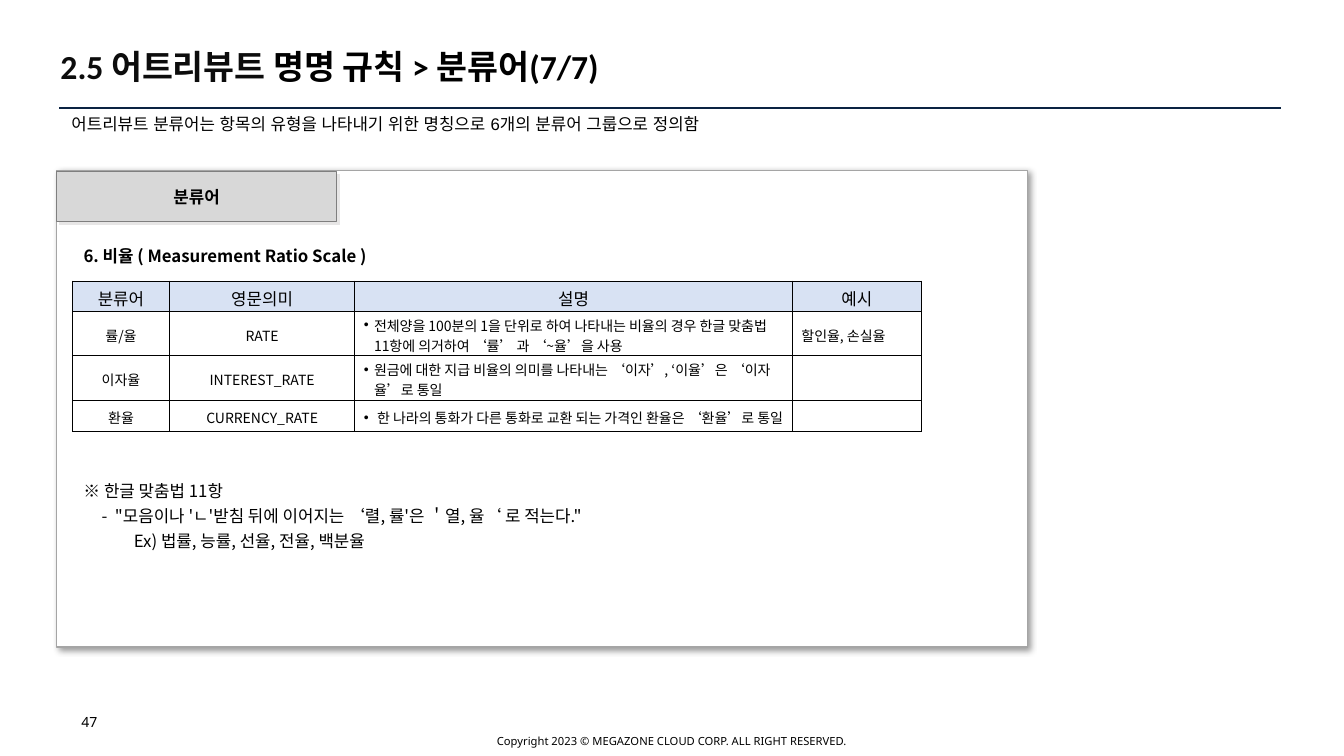
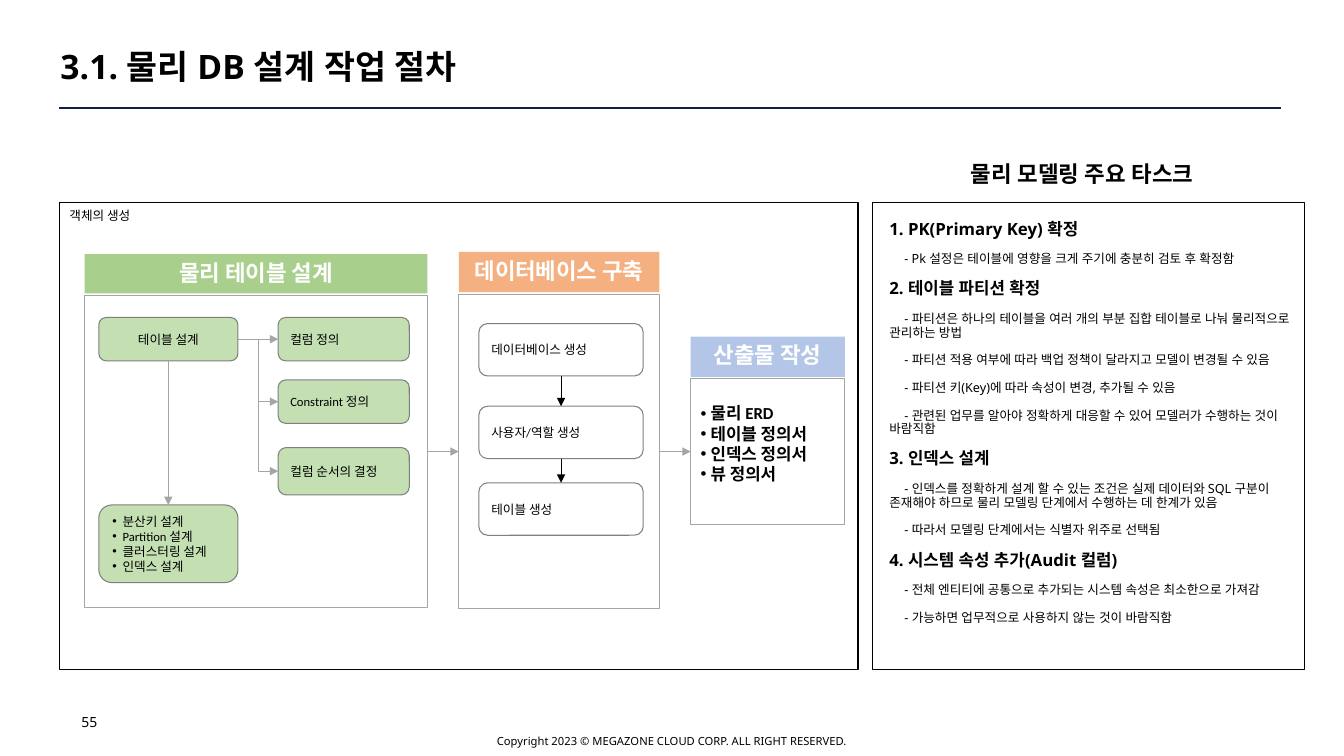
"""Build two slides on database naming rules and physical design."""
from dataclasses import dataclass, replace
from typing import Optional

from lxml import etree
from pptx import Presentation
from pptx.dml.color import RGBColor
from pptx.enum import shapes as kinds, text as te
from pptx.oxml import ns
from pptx.util import Inches, Pt

BLACK = RGBColor(0x00, 0x00, 0x00)
INK = RGBColor(0x0C, 0x0C, 0x0C)
WHITE = RGBColor(0xFF, 0xFF, 0xFF)
NAVY = RGBColor(0x0A, 0x23, 0x42)
SILVER = RGBColor(0xA5, 0xA5, 0xA5)
GRAY = RGBColor(0x7F, 0x7F, 0x7F)
PALE = RGBColor(0xD8, 0xD8, 0xD8)
SHADE = RGBColor(0xE7, 0xE6, 0xE6)
HEAD = RGBColor(0xD8, 0xE2, 0xF3)
MINT = RGBColor(0xC4, 0xE0, 0xB2)
GREEN = RGBColor(0xA8, 0xD0, 0x8C)
ORANGE = RGBColor(0xF4, 0xB0, 0x81)
BLUE = RGBColor(0xB3, 0xC6, 0xE7)
NOTO, KOREAN, PLAIN = "Noto Sans", "Noto Sans CJK KR", "Calibri"
LEFT, MID = te.PP_ALIGN.LEFT, te.PP_ALIGN.CENTER
TOP, CENTER = te.MSO_ANCHOR.TOP, te.MSO_ANCHOR.MIDDLE
RECT, ROUND = kinds.MSO_SHAPE.RECTANGLE, kinds.MSO_SHAPE.ROUNDED_RECTANGLE
FULL, NONE = (0.1, 0.05, 0.1, 0.05), (0, 0, 0, 0)


@dataclass(frozen=True)
class Style:
    """Look of a paragraph."""
    size: float
    font: str = NOTO
    bold: bool = False
    color: RGBColor = BLACK
    align: te.PP_ALIGN = LEFT
    left: float = 0
    first: float = 0
    bullet: bool = False
    space: Optional[float] = None
    before: float = 0


@dataclass(frozen=True)
class Box:
    """Place of an element in inches."""
    x: float
    y: float
    w: float
    h: float

    def emu(self) -> tuple:
        """Return the four lengths."""
        return tuple(Inches(n) for n in (self.x, self.y, self.w, self.h))


@dataclass(frozen=True)
class Stage:
    """Panel with a coloured heading."""
    name: str
    color: RGBColor
    head: Box
    body: Box


TITLE = Style(24, bold=True, space=0.9)
SMALL = Style(9, PLAIN)
LIST = replace(SMALL, left=0.1, first=-0.1, bullet=True)
CELL = Style(10, KOREAN, align=MID)
BODY = Style(12, KOREAN)
TASK = Style(12, bold=True, space=0.9, before=10)
NOTE = Style(9, space=0.9, before=10, first=0.15)


def node(parent, tag: str, **attrs):
    """Append a drawing element."""
    return etree.SubElement(parent, ns.qn(tag), attrs)


def ink(run, style: Style) -> None:
    """Format a run."""
    run.font.size, run.font.bold, run.font.name = Pt(style.size), style.bold, style.font
    run.font.color.rgb = style.color
    node(run.font._element, "a:ea", typeface=style.font)


def write(frame, lines: list, inset: tuple = FULL, anchor=TOP) -> None:
    """Fill a frame with styled paragraphs."""
    frame.word_wrap, frame.auto_size = True, te.MSO_AUTO_SIZE.NONE
    frame.vertical_anchor = anchor
    (frame.margin_left, frame.margin_top,
     frame.margin_right, frame.margin_bottom) = map(Inches, inset)
    fill(frame, lines)


def fill(frame, lines: list) -> None:
    """Write paragraphs of text and style pairs."""
    for i, (words, style) in enumerate(lines):
        par = frame.paragraphs[0] if i == 0 else frame.add_paragraph()
        props = par._p.get_or_add_pPr()
        props.set("marL", str(Inches(style.left)))
        props.set("indent", str(Inches(style.first)))
        if style.bullet:
            node(props, "a:buFont", typeface="Arial")
            node(props, "a:buChar", char="•")
        par.alignment = style.align
        if style.space:
            par.line_spacing = style.space
        if i and style.before:
            par.space_before = Pt(style.before)
        run = par.add_run()
        run.text = words
        ink(run, style)


def label(slide, box: Box, lines: list, inset: tuple = FULL, anchor=TOP) -> None:
    """Add a text box."""
    write(slide.shapes.add_textbox(*box.emu()).text_frame, lines, inset, anchor)


def block(slide, box: Box, color=None, edge=None, lines=(), kind=RECT,
          inset: tuple = FULL, anchor=TOP, width: float = 0.75):
    """Add a preset shape with optional text."""
    shape = slide.shapes.add_shape(kind, *box.emu())
    shape.shadow.inherit = False
    if color is None:
        shape.fill.background()
    else:
        shape.fill.solid()
        shape.fill.fore_color.rgb = color
    if edge is None:
        shape.line.fill.background()
    else:
        shape.line.color.rgb, shape.line.width = edge, Pt(width)
    if lines:
        write(shape.text_frame, lines, inset, anchor)
    return shape


def shadow(shape, color: RGBColor, alpha: int, blur: float, dist: float) -> None:
    """Cast a shadow to the lower right."""
    effects = shape._element.spPr.find(ns.qn("a:effectLst"))
    outer = node(effects, "a:outerShdw", blurRad=str(Pt(blur)), dist=str(Pt(dist)),
                 dir="2700000", algn="tl", rotWithShape="0")
    node(node(outer, "a:srgbClr", val=str(color)), "a:alpha", val=str(alpha * 1000))


def line(slide, color: RGBColor, width: float, ends: tuple = (0, 0, 0, 0),
         kind=kinds.MSO_CONNECTOR.STRAIGHT):
    """Add a connector."""
    link = slide.shapes.add_connector(kind, *map(Inches, ends))
    link.line.color.rgb, link.line.width = color, Pt(width)
    node(link._element.spPr, "a:effectLst")
    return link


def arrow(slide, start, end, color: RGBColor = SILVER, sides: tuple = (3, 1),
          bent: bool = False) -> None:
    """Join two shapes with an arrow."""
    kind = kinds.MSO_CONNECTOR.ELBOW if bent else kinds.MSO_CONNECTOR.STRAIGHT
    link = line(slide, color, 0.75, kind=kind)
    link.begin_connect(start, sides[0])
    link.end_connect(end, sides[1])
    node(link.line._get_or_add_ln(), "a:tailEnd", type="triangle")


def page(deck, number: int, parts: list):
    """Add a slide with title, rule and footer."""
    slide = deck.slides.add_slide(deck.slide_layouts[5])
    title = slide.shapes.title
    title.left, title.top, title.width, title.height = Box(0.6, 0.48, 12.11, 0.4).emu()
    write(title.text_frame, parts[:1], NONE, CENTER)
    for words, style in parts[1:]:
        run = title.text_frame.paragraphs[0].add_run()
        run.text = words
        ink(run, style)
    line(slide, NAVY, 1.5, (0.59, 1.07, 12.71, 1.07))
    label(slide, Box(4.32, 7.2, 4.69, 0.3),
          [("Copyright 2023 © MEGAZONE CLOUD CORP. ALL RIGHT RESERVED.", Style(8, align=MID))],
          anchor=CENTER)
    label(slide, Box(0.71, 7.03, 3.69, 0.4), [(str(number), Style(10))])
    return slide


def grid(slide, rows: list) -> None:
    """Add the table of class words."""
    widths, heights = (0.96, 1.84, 4.34, 1.28), (0.3, 0.44, 0.44, 0.27)
    box = Box(0.72, 2.79, sum(widths), sum(heights))
    table = slide.shapes.add_table(len(rows), len(widths), *box.emu()).table
    table.first_row = table.horz_banding = False
    for col, width in zip(table.columns, widths):
        col.width = Inches(width)
    points = replace(CELL, align=LEFT, left=0.1, first=-0.1, bullet=True)
    looks = (CELL, CELL, points, replace(CELL, align=LEFT))
    for r, row in enumerate(rows):
        table.rows[r].height = Inches(heights[r])
        for c, words in enumerate(row):
            cell = table.cell(r, c)
            cell.vertical_anchor = CENTER
            cell.margin_left = cell.margin_right = Inches(0.09)
            cell.margin_top, cell.margin_bottom = Inches(0.03), 0
            for side in "LRTB":
                edge = node(cell._tc.get_or_add_tcPr(), f"a:ln{side}", w=str(Pt(1)))
                node(node(edge, "a:solidFill"), "a:srgbClr", val=str(BLACK))
            if r:
                cell.fill.background()
            else:
                cell.fill.solid()
                cell.fill.fore_color.rgb = HEAD
            fill(cell.text_frame, [(words, looks[c] if r else replace(CELL, size=12))])


def naming(deck) -> None:
    """Build the naming rule slide."""
    bold = replace(TITLE, font=PLAIN)
    slide = page(deck, 47, [("2.5 어트리뷰트 ", replace(bold, color=INK)),
                            ("명명 규칙 > 분류어(7/7)", bold)])
    panel = block(slide, Box(0.56, 1.69, 9.63, 4.73), WHITE, SILVER, width=1)
    shadow(panel, BLACK, 40, 4, 3)
    strong = replace(BODY, bold=True)
    tab = block(slide, Box(0.56, 1.7, 2.78, 0.5), PALE, GRAY,
                [("분류어", replace(strong, align=MID))], inset=(0, 0.05, 0, 0.05), anchor=CENTER)
    shadow(tab, SHADE, 100, 0, 2.8)
    label(slide, Box(0.73, 2.39, 5.21, 0.3), [("6. 비율 ( Measurement Ratio Scale )", strong)])
    grid(slide, [
        ("분류어", "영문의미", "설명", "예시"),
        ("률/율", "RATE", "전체양을 100분의 1을 단위로 하여 나타내는 비율의 경우 한글 "
         "맞춤법 11항에 의거하여 ‘률’ 과 ‘~율’을 사용", "할인율, 손실율"),
        ("이자율", "INTEREST_RATE",
         "원금에 대한 지급 비율의 의미를 나타내는 ‘이자’, ‘이율’은 ‘이자율’로 통일", ""),
        ("환율", "CURRENCY_RATE",
         " 한 나라의 통화가 다른 통화로 교환 되는 가격인 환율은 ‘환율’로 통일", "")])
    rule = replace(BODY, space=1.25)
    label(slide, Box(0.73, 4.67, 5.8, 1.32), [
        ("※ 한글 맞춤법 11항", rule),
        ("-  \"모음이나 'ㄴ'받침 뒤에 이어지는 ‘렬, 률'은 ＇열, 율‘ 로 적는다.\"",
         replace(rule, left=0.18)),
        ("Ex) 법률, 능률, 선율, 전율, 백분율", replace(rule, left=0.5))])
    label(slide, Box(0.61, 1.08, 12.11, 0.3),
          [("어트리뷰트 분류어는 항목의 유형을 나타내기 위한 명칭으로 6개의 분류어 그룹으로 정의함",
            Style(12, "Arial"))])


def step(slide, box: Box, words: list, style: Style = SMALL, color=MINT):
    """Add a rounded step of the flow."""
    return block(slide, box, color, GRAY, [(w, style) for w in words], ROUND, anchor=CENTER)


def design(deck) -> None:
    """Build the design procedure slide."""
    slide = page(deck, 55, [("3.1. 물리 DB 설계 작업 절차", TITLE)])
    block(slide, Box(0.59, 2.01, 7.92, 4.63), None, BLACK, [("객체의 생성", SMALL)])
    stages = [
        Stage("물리 테이블 설계", GREEN, Box(0.84, 2.52, 3.4, 0.39), Box(0.84, 2.93, 3.4, 3.1)),
        Stage("데이터베이스 구축", ORANGE, Box(4.55, 2.5, 1.99, 0.4), Box(4.55, 2.92, 1.99, 3.12)),
        Stage("산출물 작성", BLUE, Box(6.85, 3.34, 1.53, 0.4), Box(6.85, 3.76, 1.53, 1.44))]
    heading = Style(16, PLAIN, True, WHITE, MID)
    panels = []
    for s in stages:
        block(slide, s.head, s.color, lines=[(s.name, heading)])
        panels.append(block(slide, s.body, WHITE, SILVER))
    for start, end in zip(panels, panels[1:]):
        arrow(slide, start, end)
    output = replace(LIST, size=12, bold=True)
    write(panels[2].text_frame,
          [(w, output) for w in ("물리 ERD", "테이블 정의서", "인덱스 정의서", "뷰 정의서")],
          (0.1, 0.24, 0.1, 0.05))

    root = step(slide, Box(0.98, 3.15, 1.38, 0.43), ["테이블 설계"], replace(SMALL, align=MID))
    detail = step(slide, Box(0.98, 5.01, 1.38, 0.77),
                  ["분산키 설계", "Partition 설계", "클러스터링 설계", "인덱스 설계"], LIST)
    arrow(slide, root, detail, sides=(2, 0))
    for words, y, h in (("컬럼 정의", 3.15, 0.43), ("Constraint 정의", 3.77, 0.43),
                        ("컬럼 순서의 결정", 4.44, 0.47)):
        leaf = step(slide, Box(2.76, y, 1.3, h), [words])
        arrow(slide, root, leaf, bent=y > 3.15)
    builds = [step(slide, Box(4.75, y, 1.63, 0.52), [words], color=None)
              for words, y in (("데이터베이스 생성", 3.21), ("사용자/역할 생성", 4.03),
                               ("테이블 생성", 4.79))]
    for start, end in zip(builds, builds[1:]):
        arrow(slide, start, end, BLACK, (2, 0))

    label(slide, Box(9.63, 1.53, 2.49, 0.41),
          [("물리 모델링 주요 타스크", replace(TITLE, size=16))], NONE, CENTER)
    block(slide, Box(8.65, 2.01, 4.29, 4.63), None, BLACK)
    tasks = {
        "1. PK(Primary Key) 확정": ["Pk 설정은 테이블에 영향을 크게 주기에 충분히 검토 후 확정함"],
        "2. 테이블 파티션 확정": [
            "파티션은 하나의 테이블을 여러 개의 부분 집합 테이블로 나눠 물리적으로 관리하는 방법",
            "파티션 적용 여부에 따라 백업 정책이 달라지고 모델이 변경될 수 있음",
            "파티션 키(Key)에 따라 속성이 변경, 추가될 수 있음",
            "관련된 업무를 알아야 정확하게 대응할 수 있어 모델러가 수행하는 것이 바람직함"],
        "3. 인덱스 설계": [
            "인덱스를 정확하게 설계 할 수 있는 조건은 실제 데이터와 SQL 구분이 "
            "존재해야 하므로 물리 모델링 단계에서 수행하는 데 한계가 있음",
            "따라서 모델링 단계에서는 식별자 위주로 선택됨"],
        "4. 시스템 속성 추가(Audit 컬럼)": [
            "전체 엔티티에 공통으로 추가되는 시스템 속성은 최소한으로 가져감",
            "가능하면 업무적으로 사용하지 않는 것이 바람직함"]}
    lines = []
    for task, notes in tasks.items():
        lines += [(task, TASK)] + [(f"- {note}", NOTE) for note in notes]
    label(slide, Box(8.82, 1.96, 4.12, 4.47), lines, NONE, CENTER)


def main() -> None:
    """Build and save the deck."""
    deck = Presentation()
    deck.slide_width, deck.slide_height = Inches(13.33), Inches(7.5)
    naming(deck)
    design(deck)
    deck.save("out.pptx")


if __name__ == "__main__":
    main()
